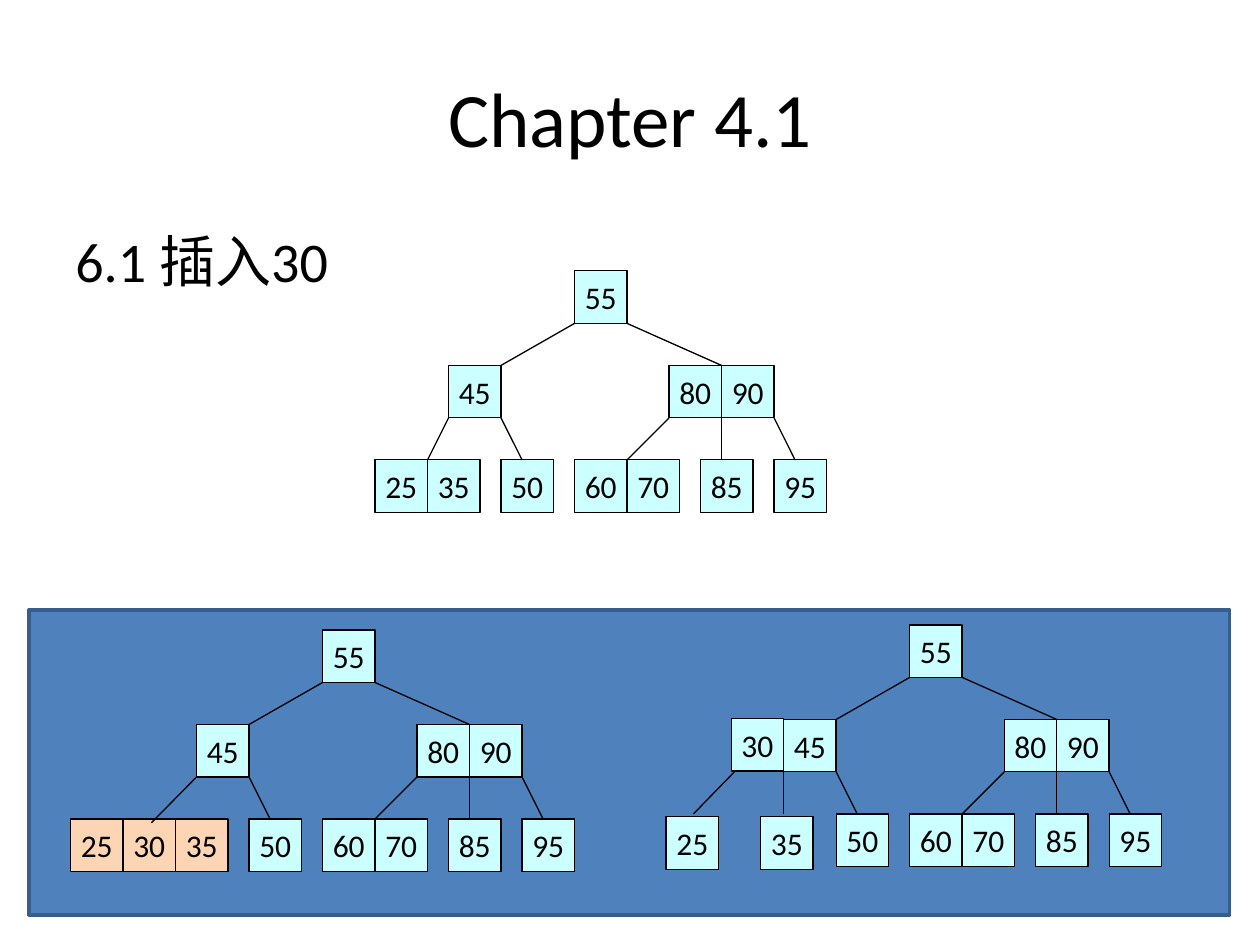
from dataclasses import dataclass

from lxml import etree
from pptx import Presentation
from pptx import util as u
from pptx.dml.color import RGBColor
from pptx.enum import shapes, text
from pptx.oxml.ns import qn

BLACK = RGBColor(0x00, 0x00, 0x00)
AQUA = RGBColor(0xCC, 0xFF, 0xFF)
PEACH = RGBColor(0xFC, 0xD5, 0xB5)
PANEL_FILL = RGBColor(0x4F, 0x81, 0xBD)
PANEL_LINE = RGBColor(0x38, 0x5D, 0x8A)
FONT = "Calibri"

COLUMN = 1 / 12  # inches per grid column
ROW = 0.75       # inches per tree level
KEY = 5          # columns across one key box
KEY_ROWS = KEY * COLUMN / ROW


@dataclass(frozen=True)
class Key:
    label: str
    column: float
    row: float
    fill: RGBColor = AQUA


@dataclass(frozen=True)
class Edge:
    """A branch from the foot of a key down to a child."""
    start: float
    row: int
    end: float
    end_row: float | None = None


@dataclass(frozen=True)
class Tree:
    left: float
    top: float
    keys: tuple[Key, ...]
    edges: tuple[Edge, ...]


SHARED_KEYS = (
    Key("55", 0, 0), Key("45", -12, 1), Key("80", 9, 1), Key("90", 14, 1),
    Key("50", -7, 2), Key("60", 0, 2), Key("70", 5, 2), Key("85", 12, 2), Key("95", 19, 2),
)
SHARED_EDGES = (
    Edge(0, 0, -7), Edge(5, 0, 14), Edge(-7, 1, -5),
    Edge(9, 1, 5), Edge(14, 1, 14), Edge(19, 1, 21),
)
TREES = (
    Tree(4.56, 2.15, (Key("25", -19, 2), Key("35", -14, 2)), (Edge(-12, 1, -14),)),
    Tree(2.56, 5,
         tuple(Key(label, -24 + KEY * i, 2, PEACH) for i, label in enumerate(("25", "30", "35"))),
         (Edge(-12, 1, -16.3, 2.04),)),
    Tree(7.22, 4.96,
         (Key("30", -17, 0.99), Key("25", -23.2, 2.03), Key("35", -14.2, 2.03)),
         (Edge(-16.7, 1, -20.6), Edge(-12, 1, -12))),
)


def write(frame, content: str, *, size: float, align=text.PP_ALIGN.LEFT,
          anchor=text.MSO_ANCHOR.TOP, wrap: bool = True) -> None:
    frame.word_wrap = wrap
    frame.vertical_anchor = anchor
    para = frame.paragraphs[0]
    para.alignment = align
    span = para.add_run()
    span.text = content
    span.font.name = FONT
    span.font.size = u.Pt(size)
    span.font.color.rgb = BLACK


def add_rectangle(page, left: float, top: float, width: float, height: float, *,
                  fill: RGBColor, line: RGBColor, weight: float):
    box = page.shapes.add_shape(shapes.MSO_SHAPE.RECTANGLE,
                                *(u.Inches(n) for n in (left, top, width, height)))
    box.shadow.inherit = False
    box.fill.solid()
    box.fill.fore_color.rgb = fill
    box.line.color.rgb = line
    box.line.width = u.Pt(weight)
    return box


def draw_key(page, tree: Tree, key: Key) -> None:
    box = add_rectangle(page, tree.left + key.column * COLUMN, tree.top + key.row * ROW,
                        KEY * COLUMN, KEY * COLUMN, fill=key.fill, line=BLACK, weight=0.75)
    write(box.text_frame, key.label, size=18, align=text.PP_ALIGN.CENTER,
          anchor=text.MSO_ANCHOR.MIDDLE, wrap=False)


def draw_edge(page, tree: Tree, edge: Edge) -> None:
    end_row = edge.row + 1 if edge.end_row is None else edge.end_row
    ends = (tree.left + edge.start * COLUMN, tree.top + (edge.row + KEY_ROWS) * ROW,
            tree.left + edge.end * COLUMN, tree.top + end_row * ROW)
    line = page.shapes.add_connector(shapes.MSO_CONNECTOR.STRAIGHT, *(u.Inches(n) for n in ends))
    line.line.color.rgb = BLACK
    line.line.width = u.Pt(0.75)
    etree.SubElement(line._element.spPr, qn("a:effectLst"))


def draw_tree(page, tree: Tree) -> None:
    for key in SHARED_KEYS + tree.keys:
        draw_key(page, tree, key)
    for edge in SHARED_EDGES + tree.edges:
        draw_edge(page, tree, edge)


def main() -> None:
    deck = Presentation()
    deck.slide_width, deck.slide_height = u.Inches(10), u.Inches(7.5)
    page = deck.slides.add_slide(deck.slide_layouts[5])

    add_rectangle(page, 0.23, 4.84, 9.53, 2.42, fill=PANEL_FILL, line=PANEL_LINE, weight=2)

    title = page.shapes.title
    title.left, title.top = u.Inches(0.5), u.Inches(0.3)
    title.width, title.height = u.Inches(9), u.Inches(1.25)
    write(title.text_frame, "Chapter 4.1", size=44, align=text.PP_ALIGN.CENTER,
          anchor=text.MSO_ANCHOR.MIDDLE)

    heading = page.shapes.add_textbox(u.Inches(0.5), u.Inches(1.75), u.Inches(3.33), u.Inches(0.67))
    write(heading.text_frame, "6.1 插入30", size=32)

    for tree in TREES:
        draw_tree(page, tree)
    deck.save("out.pptx")


if __name__ == "__main__":
    main()
